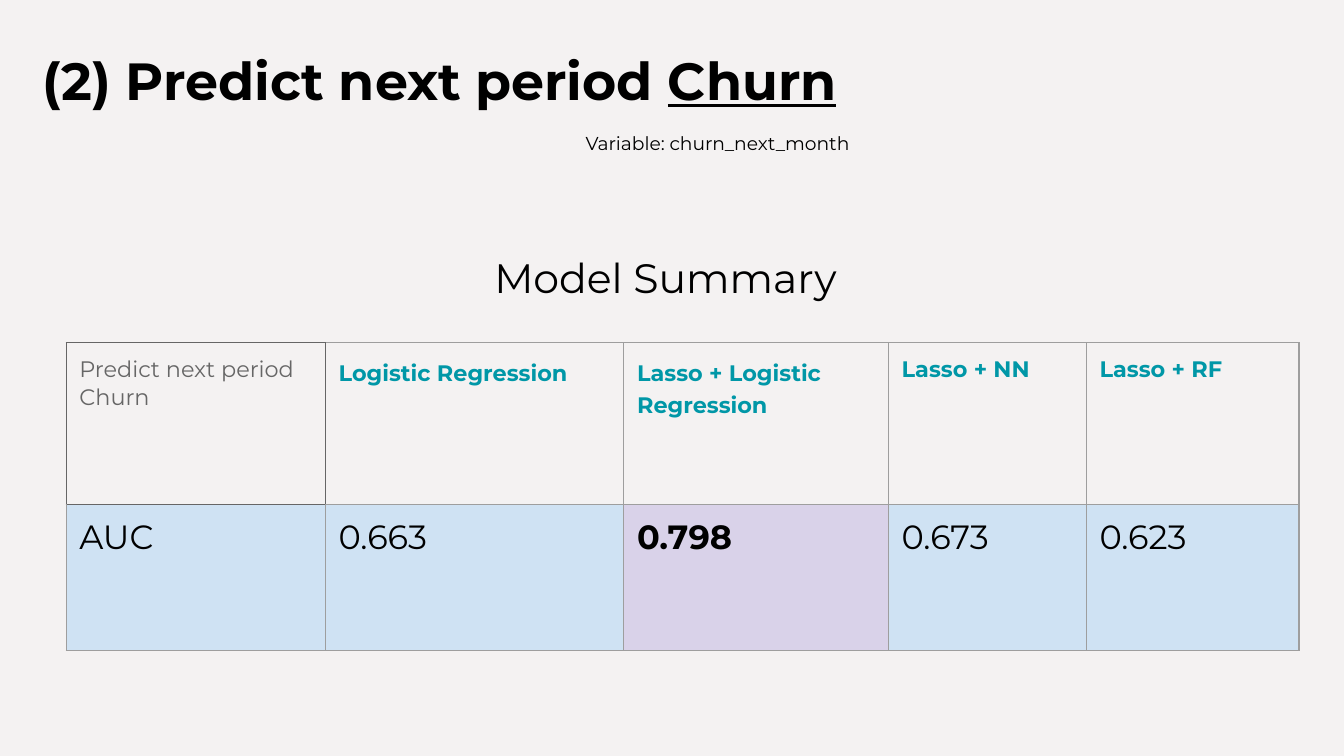
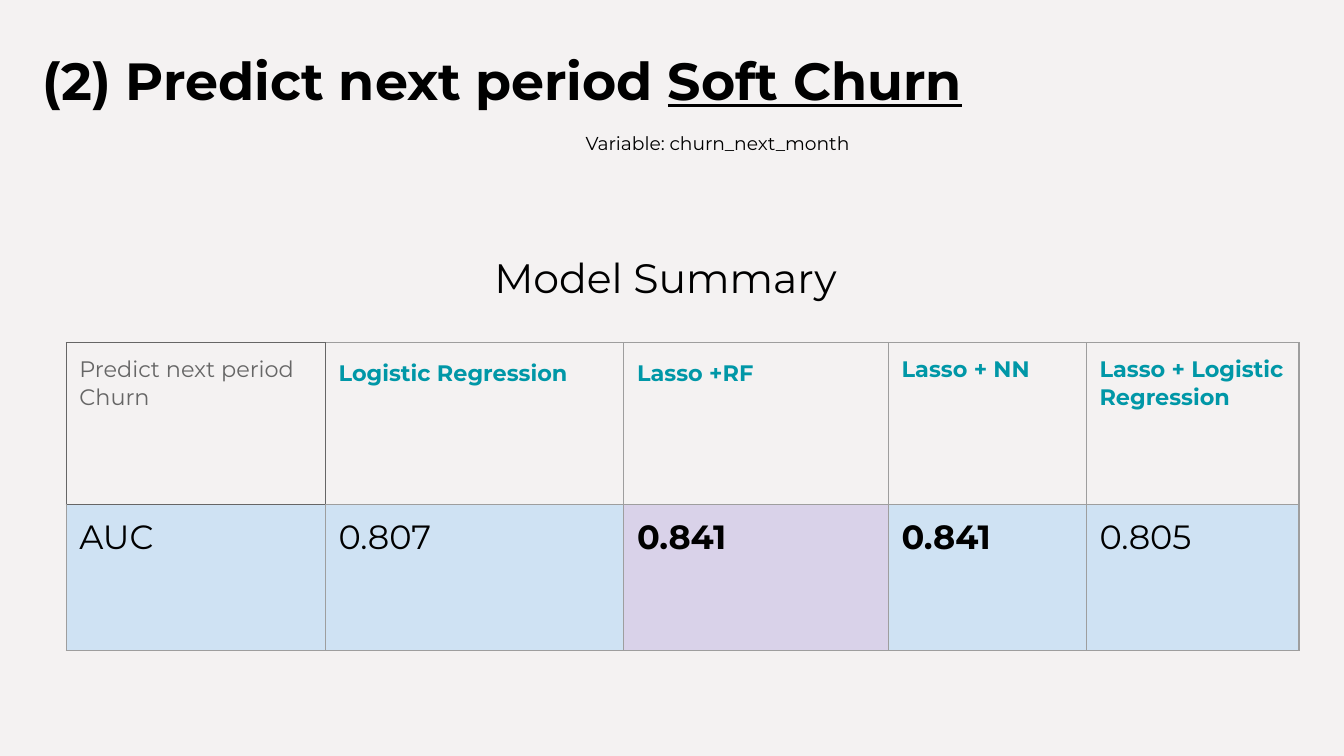
from lxml import etree
from pptx import Presentation
from pptx.dml.color import RGBColor
from pptx.enum import text
from pptx.oxml import ns
from pptx.util import Cm, Pt

FONT = "Montserrat"
BACKGROUND = RGBColor(0xF4, 0xF2, 0xF2)
BLACK = RGBColor(0x00, 0x00, 0x00)
GREY = RGBColor(0x66, 0x66, 0x66)
BORDER = RGBColor(0x9E, 0x9E, 0x9E)
TEAL = RGBColor(0x00, 0x97, 0xA7)
BLUE = RGBColor(0xCF, 0xE2, 0xF3)
PURPLE = RGBColor(0xD9, 0xD2, 0xE9)

COLUMN_WIDTHS = [4.9, 5.64, 5.0, 3.74, 4.02]
ROW_HEIGHTS = [3.05, 2.77]
BEST_COLUMN = 2

# Outcome, models with their AUC, and the AUC values set in bold
SUMMARIES = [
    ("Churn",
     [("Logistic Regression", "0.663"), ("Lasso + Logistic Regression", "0.798"),
      ("Lasso + NN", "0.673"), ("Lasso + RF", "0.623")],
     "0.798"),
    ("Soft Churn",
     [("Logistic Regression", "0.807"), ("Lasso +RF", "0.841"),
      ("Lasso + NN", "0.841"), ("Lasso + Logistic Regression", "0.805")],
     "0.841"),
]


def write(frame, words, size, color=BLACK, bold=False, underlined="",
          align=text.PP_ALIGN.LEFT, spacing=1.0):
    """Fill a text frame with one paragraph, its last words underlined if given."""
    frame.word_wrap = True
    frame.vertical_anchor = text.MSO_ANCHOR.TOP
    frame.margin_left = frame.margin_right = Cm(0.25)
    frame.margin_top = frame.margin_bottom = Cm(0.25)
    paragraph = frame.paragraphs[0]
    paragraph.alignment = align
    paragraph.line_spacing = spacing
    for part, underline in ((words, False), (underlined, True)):
        if part:
            run = paragraph.add_run()
            run.text = part
            run.font.name = FONT
            run.font.size = Pt(size)
            run.font.bold = bold
            run.font.underline = underline
            run.font.color.rgb = color


def add_borders(cell, left, right, top, bottom):
    properties = cell._tc.get_or_add_tcPr()
    for side, color in zip("LRTB", (left, right, top, bottom)):
        line = etree.SubElement(properties, ns.qn(f"a:ln{side}"), w=str(Pt(0.75)))
        fill = etree.SubElement(line, ns.qn("a:solidFill"))
        etree.SubElement(fill, ns.qn("a:srgbClr"), val=str(color))


prs = Presentation()
prs.slide_width, prs.slide_height = Cm(25.4), Cm(14.29)

for outcome, models, best_auc in SUMMARIES:
    slide = prs.slides.add_slide(prs.slide_layouts[5])
    slide.background.fill.solid()
    slide.background.fill.fore_color.rgb = BACKGROUND

    # Table of models
    summary = slide.shapes.add_table(
        2, len(COLUMN_WIDTHS), Cm(1.25), Cm(6.48),
        Cm(sum(COLUMN_WIDTHS)), Cm(sum(ROW_HEIGHTS))).table
    summary.first_row = summary.horz_banding = False
    for column, width in zip(summary.columns, COLUMN_WIDTHS):
        column.width = Cm(width)
    for row, height in zip(summary.rows, ROW_HEIGHTS):
        row.height = Cm(height)

    for index, (model, auc) in enumerate([("Predict next period Churn", "AUC")] + models):
        header, value = summary.cell(0, index), summary.cell(1, index)
        is_label = index == 0
        edge = GREY if is_label else BORDER
        write(header.text_frame, model, 12, color=GREY if is_label else TEAL,
              bold=not is_label, spacing=1.15 if index in (1, 2) else 1.0)
        add_borders(header, GREY if index <= 1 else BORDER, edge, edge, edge)
        header.fill.background()

        write(value.text_frame, auc, 18, bold=auc == best_auc)
        add_borders(value, BORDER, BORDER, edge, BORDER)
        value.fill.solid()
        value.fill.fore_color.rgb = PURPLE if index == BEST_COLUMN else BLUE
        for cell in (header, value):
            cell.margin_left = cell.margin_right = Cm(0.25)
            cell.margin_top = cell.margin_bottom = Cm(0.25)

    # Title
    title = slide.shapes.title
    title.left, title.top, title.width, title.height = Cm(0.56), Cm(0.66), Cm(18), Cm(1.88)
    title.text_frame.auto_size = text.MSO_AUTO_SIZE.NONE
    write(title.text_frame, "(2) Predict next period ", 28, bold=True, underlined=outcome)

    # Variable name and table heading
    variable = slide.shapes.add_textbox(Cm(10.82), Cm(2.18), Cm(8.33), Cm(1.02))
    write(variable.text_frame, "Variable: churn_next_month", 10, spacing=1.15)
    heading = slide.shapes.add_textbox(Cm(3.68), Cm(4.52), Cm(18), Cm(1.63))
    write(heading.text_frame, "Model Summary ", 22, align=text.PP_ALIGN.CENTER)

prs.save("out.pptx")
